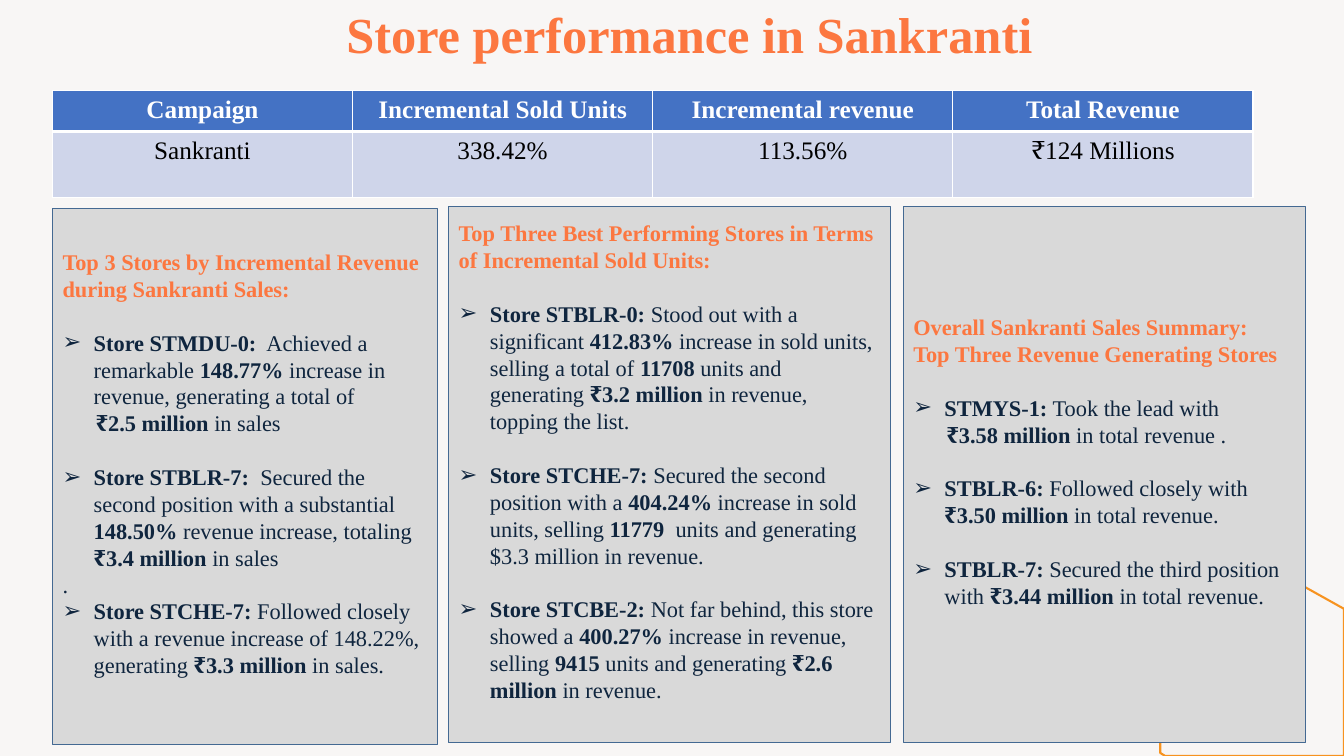
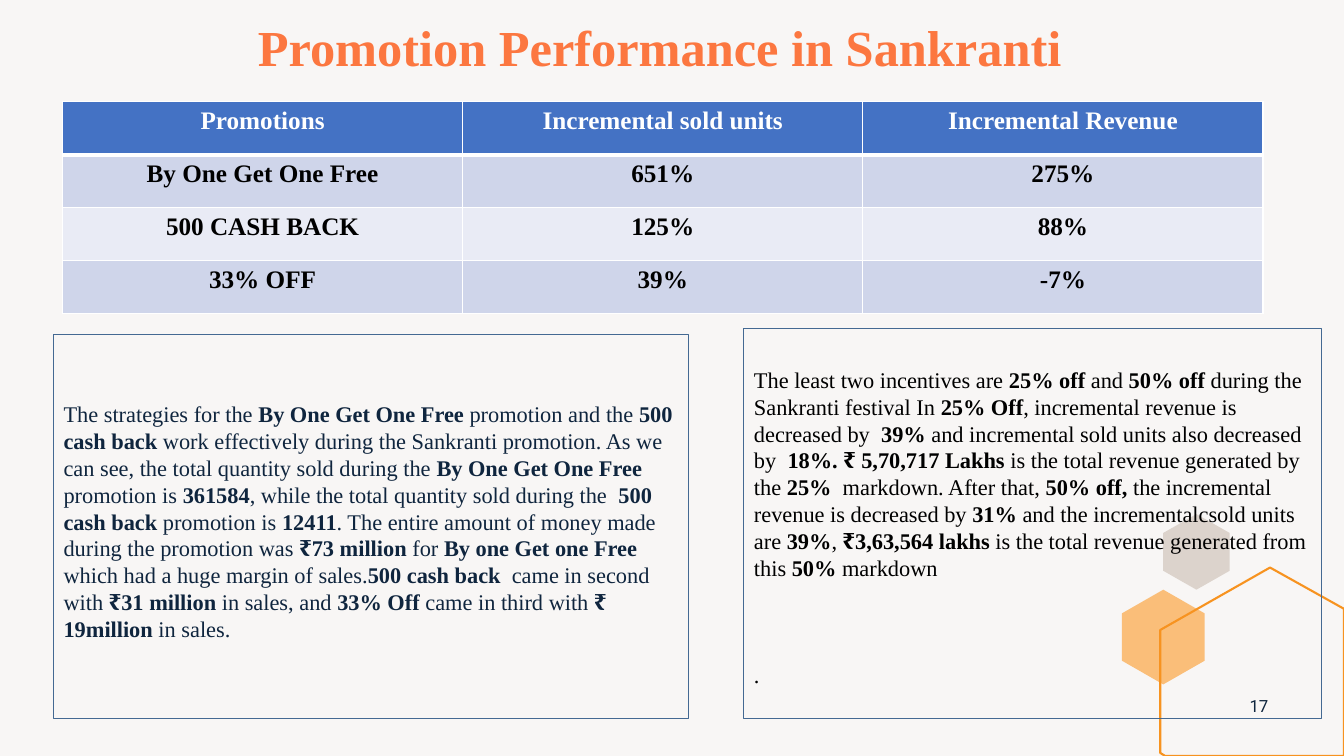
import dataclasses

import lxml.etree
import pptx
import pptx.dml.color
import pptx.enum.text
import pptx.oxml.ns
import pptx.util

WIDTH = pptx.util.Inches(13.333)
HEIGHT = pptx.util.Inches(7.5)
SERIF = "Times New Roman"
ORANGE, NAVY, BLACK, WHITE = "FC7740", "0F253E", "000000", "FFFFFF"
PAPER, GREY, EDGE = "F8F6F5", "D9D9D9", "446992"
TAUPE, AMBER, OUTLINE = "DCD3CC", "FABE79", "F79320"
HEADER, BANDS = "4472C4", ("CFD5EA", "E9EBF5")
BODY_SIZE = 16
BLANK_LINE = 19.2
TABLE_WIDTH = 89.33
HEXAGON = [(0.5, 0), (1, 0.25), (1, 0.75), (0.5, 1), (0, 0.75), (0, 0.25)]
CORNER = [(94.5, 75.07), (100, 80.53), (100, 100), (86.7, 100), (86.33, 99.6), (86.33, 83.33)]
MIDDLE = pptx.enum.text.MSO_ANCHOR.MIDDLE
BOTTOM = pptx.enum.text.MSO_ANCHOR.BOTTOM
CENTER = pptx.enum.text.PP_ALIGN.CENTER
LEFT = pptx.enum.text.PP_ALIGN.LEFT


@dataclasses.dataclass
class Style:
    """Look of a paragraph: margins in inches, gap in points."""
    color: str = NAVY
    bold: bool = False
    margin: float = 0
    bullet: str = ""
    gap: float = 0


STYLES = {
    "heading": Style(color=ORANGE, bold=True),
    "item": Style(margin=0.31, bullet="➢", gap=BLANK_LINE),
    "close item": Style(margin=0.31, bullet="➢"),
    "indented": Style(margin=0.33),
    "plain": Style(),
    "spaced": Style(gap=BLANK_LINE),
    "black": Style(color=BLACK),
    "far black": Style(color=BLACK, gap=3 * BLANK_LINE),
}

REVENUE_STORES = [
    ("heading", "Top 3 Stores by Incremental Revenue during Sankranti Sales:"),
    ("item", "**Store STMDU-0:**  Achieved a remarkable **148.77%** increase in revenue, "
             "generating a total of"),
    ("indented", "**₹2.5 million** in sales"),
    ("item", "**Store STBLR-7:**  Secured the second position with a substantial **148.50%** "
             "revenue increase, totaling **₹3.4 million** in sales"),
    ("plain", "."),
    ("close item", "**Store STCHE-7:** Followed closely with a revenue increase of 148.22%, "
                   "generating **₹3.3 million** in sales."),
]
UNIT_STORES = [
    ("heading", "Top Three Best Performing Stores in Terms of Incremental Sold Units:"),
    ("item", "**Store STBLR-0:** Stood out with a significant **412.83%** increase in sold units, "
             "selling a total of **11708** units and generating **₹3.2 million** in revenue, "
             "topping the list."),
    ("item", "**Store STCHE-7:** Secured the second position with a **404.24%** increase in sold "
             "units, selling **11779**  units and generating $3.3 million in revenue."),
    ("item", "**Store STCBE-2:** Not far behind, this store showed a **400.27%** increase in "
             "revenue, selling **9415** units and generating **₹2.6 million** in revenue."),
]
SALES_SUMMARY = [
    ("heading", "Overall Sankranti Sales Summary:"),
    ("heading", "Top Three Revenue Generating Stores"),
    ("item", "**STMYS-1:** Took the lead with"),
    ("indented", "**₹3.58 million** in total revenue ."),
    ("item", "**STBLR-6:** Followed closely with **₹3.50 million** in total revenue."),
    ("item", "**STBLR-7:** Secured the third position with **₹3.44 million** in total revenue."),
]
BEST_PROMOTIONS = [
    ("plain", "The strategies for the **By One Get One Free** promotion and the **500 cash back** "
              "work effectively during the Sankranti promotion. As we can see, the total quantity "
              "sold during the **By One Get One Free** promotion is **361584**, while the total "
              "quantity sold during the  **500 cash back** promotion is **12411**. The entire "
              "amount of money made during the promotion was **₹73 million** for **By one Get one "
              "Free** which had a huge margin of sales.**500 cash back**  came in second with "
              "**₹31 million** in sales, and **33% Off** came in third with **₹ 19million** "
              "in sales."),
]
LEAST_PROMOTIONS = [
    ("black", "The least two incentives are **25% off** and **50% off** during the Sankranti "
              "festival In **25% Off**, incremental revenue is decreased by  **39%** and "
              "incremental sold units also decreased by  **18%. ₹ 5,70,717 Lakhs** is the total "
              "revenue generated by the **25%**  markdown. After that, **50% off,** the "
              "incremental revenue is decreased by **31%** and the incrementalcsold units are "
              "**39%**, **₹3,63,564 lakhs** is the total revenue generated from this **50%** "
              "markdown"),
    ("far black", "."),
]
STORE_ROWS = [
    ("Campaign", "Incremental Sold Units", "Incremental revenue", "Total Revenue"),
    ("Sankranti", "338.42%", "113.56%", "₹124 Millions"),
]
PROMOTION_ROWS = [
    ("Promotions", "Incremental sold units", "Incremental Revenue"),
    ("By One Get One Free", "651%", "275%"),
    ("500 CASH BACK", "125%", "88%"),
    ("33% OFF", "39%", "-7%"),
]


def across(share):
    """Length of a percentage of the slide's width."""
    return pptx.util.Emu(round(WIDTH * share / 100))


def down(share):
    """Length of a percentage of the slide's height."""
    return pptx.util.Emu(round(HEIGHT * share / 100))


def area(left, top, width, height):
    return across(left), down(top), across(width), down(height)


def move(box, *shares):
    box.left, box.top, box.width, box.height = area(*shares)


def rgb(color):
    return pptx.dml.color.RGBColor.from_string(color)


def paint(box, fill=None, line=None, weight=0.75):
    if fill:
        box.fill.solid()
        box.fill.fore_color.rgb = rgb(fill)
    else:
        box.fill.background()
    if line:
        box.line.color.rgb = rgb(line)
        box.line.width = pptx.util.Pt(weight)
    else:
        box.line.fill.background()


def format_span(span, size, color, bold=False, font=SERIF):
    span.font.name = font
    span.font.size = pptx.util.Pt(size)
    span.font.bold = bold
    span.font.color.rgb = rgb(color)


def write_line(frame, text, size, color, bold=False, font=SERIF):
    """Fill a frame with one centred line."""
    frame.text = text
    para = frame.paragraphs[0]
    para.alignment = CENTER
    format_span(para.runs[0], size, color, bold, font)
    return para


def write_rich(para, style, text):
    """Write text in which ** switches bold on and off."""
    properties = para._p.get_or_add_pPr()
    margin = pptx.util.Inches(style.margin)
    properties.set("marL", str(margin))
    properties.set("indent", str(-margin if style.bullet else 0))
    tag = "a:buChar" if style.bullet else "a:buNone"
    mark = lxml.etree.SubElement(properties, pptx.oxml.ns.qn(tag))
    if style.bullet:
        mark.set("char", style.bullet)
    para.alignment = LEFT
    para.space_before = pptx.util.Pt(style.gap)
    para.space_after = pptx.util.Pt(0)
    for index, piece in enumerate(text.split("**")):
        if piece:
            span = para.add_run()
            span.text = piece
            format_span(span, BODY_SIZE, style.color, style.bold or index % 2 == 1)


def fill_card(card, shares, content, anchor, bottom, fill=None):
    """Turn a body placeholder into an outlined card; bottom is its inset in inches."""
    move(card, *shares)
    paint(card, fill, EDGE)
    frame = card.text_frame
    frame.word_wrap = True
    frame.auto_size = pptx.enum.text.MSO_AUTO_SIZE.NONE
    frame.vertical_anchor = anchor
    frame.margin_bottom = pptx.util.Inches(bottom)
    for index, (name, text) in enumerate(content):
        para = frame.add_paragraph() if index else frame.paragraphs[0]
        write_rich(para, STYLES[name], text)


def add_outline(page, points, fill=None, line=None):
    """Draw a closed outline behind everything else; points are shares of the slide."""
    corners = [(across(x), down(y)) for x, y in points]
    builder = page.shapes.build_freeform(*corners[0])
    builder.add_line_segments(corners[1:], close=True)
    outline = builder.convert_to_shape()
    outline.shadow.inherit = False
    paint(outline, fill, line, 1.5)
    page.shapes._spTree.insert(2, outline._element)


def add_hexagon(page, left, top, width, height, fill):
    add_outline(page, [(left + x * width, top + y * height) for x, y in HEXAGON], fill)


def border_cell(cell, row):
    """White borders, heavier between the header and the first row."""
    heavy = {0: "lnB", 1: "lnT"}.get(row)
    properties = cell._tc.get_or_add_tcPr()
    for index, side in enumerate(("lnL", "lnR", "lnT", "lnB")):
        weight = pptx.util.Pt(3 if side == heavy else 1)
        line = lxml.etree.Element(pptx.oxml.ns.qn("a:" + side), w=str(weight))
        solid = lxml.etree.SubElement(line, pptx.oxml.ns.qn("a:solidFill"))
        lxml.etree.SubElement(solid, pptx.oxml.ns.qn("a:srgbClr"), val=WHITE)
        properties.insert(index, line)


def add_grid(page, left, top, heights, rows, bold):
    """Table of equal columns; heights are the row heights."""
    shares = area(left, top, TABLE_WIDTH, sum(heights))
    table = page.shapes.add_table(len(rows), len(rows[0]), *shares).table
    for row, (height, texts) in enumerate(zip(heights, rows)):
        table.rows[row].height = down(height)
        for column, text in enumerate(texts):
            cell = table.cell(row, column)
            cell.fill.solid()
            cell.fill.fore_color.rgb = rgb(BANDS[(row - 1) % 2] if row else HEADER)
            border_cell(cell, row)
            write_line(cell.text_frame, text, 18, BLACK if row else WHITE, bold or row == 0)


def add_page(deck, title, left, top, width, card_count):
    """Add a slide with its title and corner; return it with its body placeholders."""
    page = deck.slides.add_slide(deck.slide_layouts.get_by_name("Comparison"))
    page.background.fill.solid()
    page.background.fill.fore_color.rgb = rgb(PAPER)
    heading = page.shapes.title
    move(heading, left, top, width, 9.87)
    heading.text_frame.vertical_anchor = MIDDLE
    heading.text_frame.auto_size = pptx.enum.text.MSO_AUTO_SIZE.NONE
    write_line(heading.text_frame, title, 36, ORANGE, True).line_spacing = 0.9
    bodies = list(page.placeholders)[1:]
    for spare in bodies[card_count:]:
        spare._element.getparent().remove(spare._element)
    add_outline(page, CORNER, line=OUTLINE)
    return page, bodies[:card_count]


def add_store_page(deck):
    page, cards = add_page(deck, "Store performance in Sankranti", 8.78, 0, 85.05, 3)
    add_grid(page, 3.9, 12, [5.4, 8.7], STORE_ROWS, False)
    columns = [(3.9, 27.6, 28.65), (33.38, 27.33, 32.85), (67.2, 27.33, 29.93)]
    contents = [REVENUE_STORES, UNIT_STORES, SALES_SUMMARY]
    for card, column, content in zip(cards, columns, contents):
        fill_card(card, (*column, 70.93), content, MIDDLE, 0.32, GREY)


def add_promotion_page(deck):
    page, cards = add_page(deck, "Promotion Performance in Sankranti", 4.43, 1.73, TABLE_WIDTH, 2)
    add_hexagon(page, 83.48, 78, 6.15, 12.53, AMBER)
    page.shapes._spTree.insert(3, page.shapes._spTree[2])
    add_hexagon(page, 86.55, 68, 4.95, 10, TAUPE)
    add_grid(page, 4.65, 13.47, [7] * 4, PROMOTION_ROWS, True)
    fill_card(cards[0], (3.98, 44.27, 47.25, 50.8), BEST_PROMOTIONS, BOTTOM, 0.76)
    fill_card(cards[1], (55.35, 43.47, 42.98, 51.6), LEAST_PROMOTIONS, BOTTOM, 0.3)
    number = page.shapes.add_textbox(*area(91.8, 90.67, 3.75, 5.33))
    number.text_frame.word_wrap = True
    number.text_frame.vertical_anchor = MIDDLE
    write_line(number.text_frame, "17", 12, NAVY, font="Roboto")


def main():
    deck = pptx.Presentation()
    deck.slide_width, deck.slide_height = WIDTH, HEIGHT
    add_store_page(deck)
    add_promotion_page(deck)
    deck.save("out.pptx")


if __name__ == "__main__":
    main()
